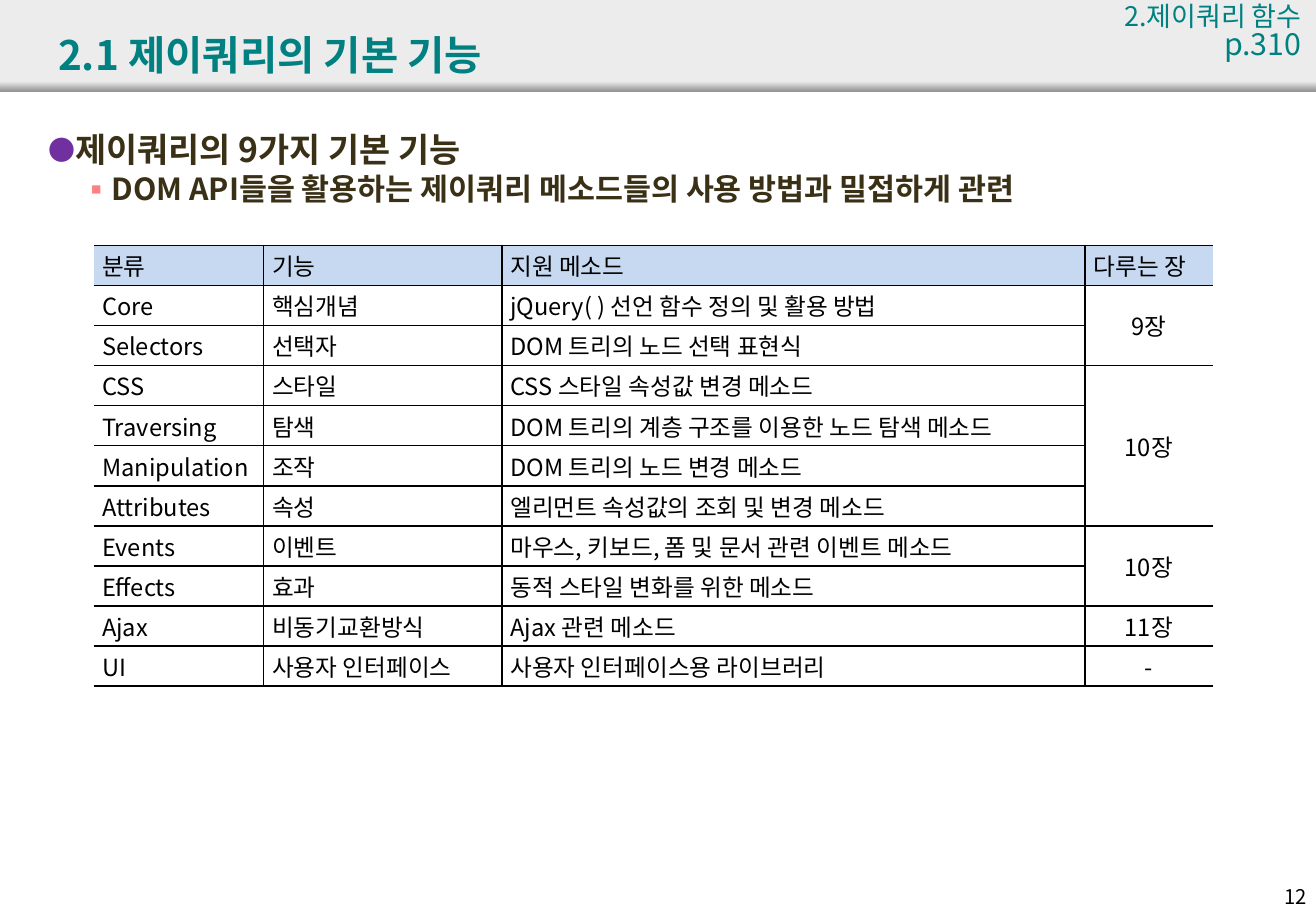
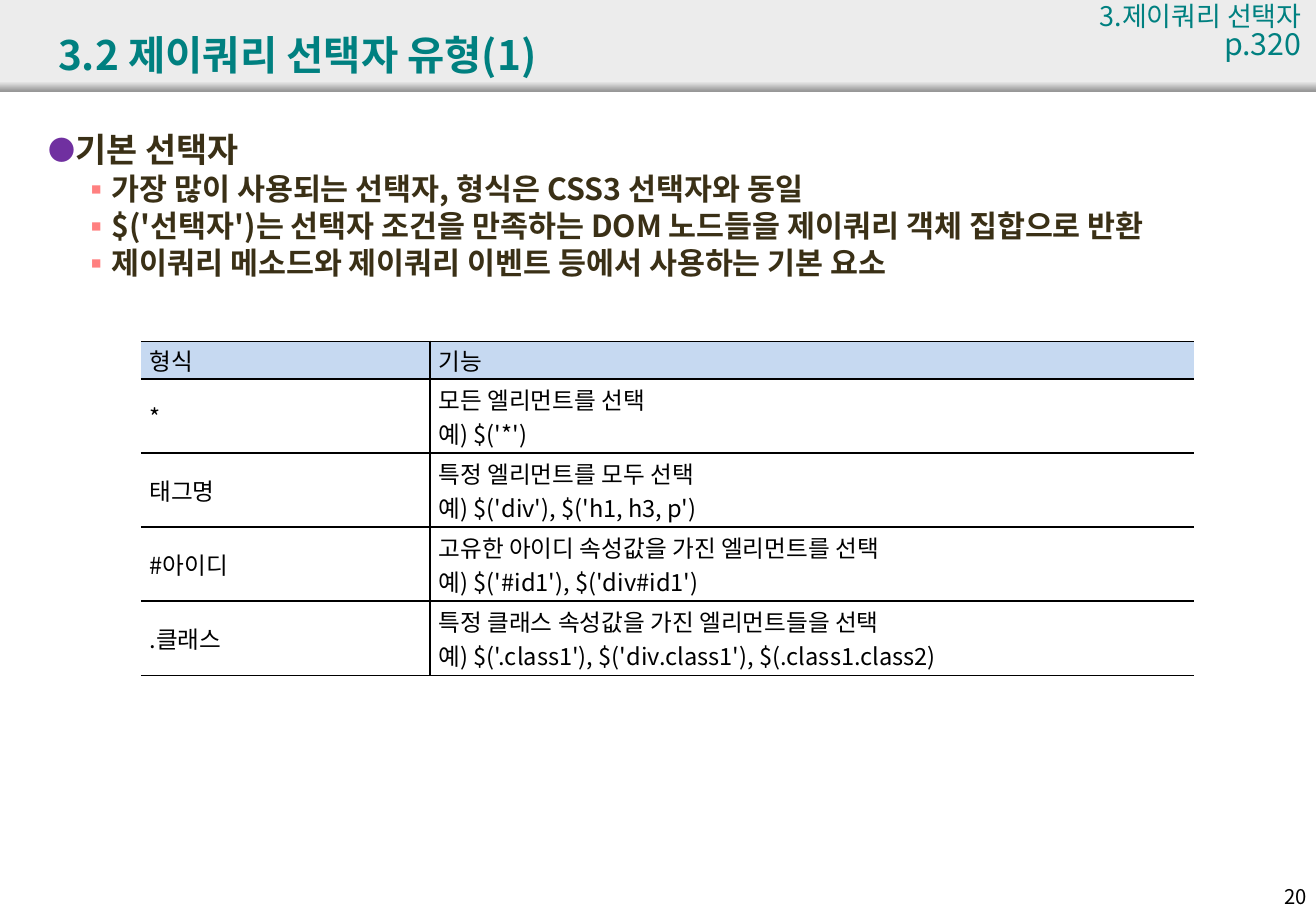
from dataclasses import dataclass

from lxml import etree
from pptx import Presentation
from pptx import util as u
from pptx.dml.color import RGBColor
from pptx.enum import shapes, text
from pptx.oxml import ns

PX = 9144  # EMU, 100 px to the inch
FONT = "Noto Sans CJK KR"
BLACK = RGBColor(0x00, 0x00, 0x00)
TEAL = RGBColor(0x00, 0x80, 0x80)
BROWN = RGBColor(0x3A, 0x30, 0x16)
PURPLE = RGBColor(0x70, 0x30, 0xA0)
CORAL = RGBColor(0xFF, 0x80, 0x80)
BAND = RGBColor(0xEC, 0xEC, 0xEC)
BAND_EDGE = RGBColor(0x97, 0x97, 0x97)
HEADER_BLUE = RGBColor(0xC6, 0xD9, 0xF1)

SLIDE_W, SLIDE_H = 1083, 750
TITLE_BOX = (38, 13, 860, 63)
CHAPTER_BOX = (861, 0, 220, 70)
BODY_BOX = (30, 107, 1032, 622)
NUMBER_BOX = (1030, 723, 55, 30)
ALIGN = text.PP_ALIGN


@dataclass
class Bullet:
    char: str
    color: RGBColor
    percent: int
    margin: int
    size: int


TOPIC = Bullet("●", PURPLE, 80, 20, 20)
DETAIL = Bullet("▪", CORAL, 100, 47, 18)


def px(*lengths):
    return [u.Emu(length * PX) for length in lengths]


def sub(parent, tag, **attributes):
    return etree.SubElement(parent, ns.qn(tag), attributes)


def style(paragraph, size, color=BLACK, bold=False, align=ALIGN.LEFT):
    paragraph.alignment = align
    font = paragraph.font
    font.size, font.bold, font.name = u.Pt(size), bold, FONT
    font.color.rgb = color
    sub(paragraph._p.pPr.find(ns.qn("a:defRPr")), "a:ea", typeface=FONT)


def paragraphs(frame, lines):
    """Put each line in a paragraph of its own and yield these in turn."""
    for i, line in enumerate(lines):
        paragraph = frame.add_paragraph() if i else frame.paragraphs[0]
        paragraph.add_run().text = line
        yield paragraph


def add_frame(slide, box):
    frame = slide.shapes.add_textbox(*px(*box)).text_frame
    frame.word_wrap = True
    return frame


def add_band(slide, box):
    """Grey band with a shaded strip along its lower edge."""
    left, top, width, height = box
    strip_height = 8
    strip_top = top + height - strip_height
    for part in (box, (left, strip_top, width, strip_height)):
        band = slide.shapes.add_shape(shapes.MSO_SHAPE.RECTANGLE, *px(*part))
        band.shadow.inherit = False
        band.line.fill.background()
        band.fill.solid()
        band.fill.fore_color.rgb = BAND
    band.fill.gradient()
    band.fill.gradient_angle = 270
    for stop, color, position in zip(band.fill.gradient_stops,
                                     (BAND, BAND_EDGE), (0, 1)):
        stop.color.rgb, stop.position = color, position


def add_base(prs, title, chapter, page, number):
    """New slide with band, title, chapter reference and slide number."""
    slide = prs.slides.add_slide(prs.slide_layouts[6])
    add_band(slide, (0, 0, SLIDE_W, 75))
    heading = add_frame(slide, TITLE_BOX)
    heading.vertical_anchor = text.MSO_ANCHOR.MIDDLE
    for line in paragraphs(heading, [title]):
        style(line, 24, TEAL, bold=True)
    reference = paragraphs(add_frame(slide, CHAPTER_BOX), [chapter, page])
    for line, size in zip(reference, (16, 18)):
        line.line_spacing = 0.8
        style(line, size, TEAL, align=ALIGN.RIGHT)
    for line in paragraphs(add_frame(slide, NUMBER_BOX), [number]):
        style(line, 12, align=ALIGN.RIGHT)
    return slide


def add_bullets(slide, box, topic, details):
    lines = paragraphs(add_frame(slide, box), [topic, *details])
    for i, line in enumerate(lines):
        bullet = DETAIL if i else TOPIC
        line.line_spacing = 0.83
        line.space_before = u.Pt(4 if i else 0)
        props = line._p.get_or_add_pPr()
        props.set("marL", str(bullet.margin * PX))
        props.set("indent", str(-20 * PX))
        sub(sub(props, "a:buClr"), "a:srgbClr", val=str(bullet.color))
        sub(props, "a:buSzPct", val=str(bullet.percent * 1000))
        sub(props, "a:buFont", typeface=FONT)
        sub(props, "a:buChar", char=bullet.char)
        style(line, bullet.size, BROWN, bold=True)


def set_borders(cell, sides):
    """Draw the sides named (of L, R, T, B) and clear the others."""
    props = cell._tc.get_or_add_tcPr()
    for side in "LRTB":
        border = sub(props, f"a:ln{side}", w=str(u.Pt(1)))
        if side in sides:
            sub(sub(border, "a:solidFill"), "a:srgbClr", val=str(BLACK))
        else:
            sub(border, "a:noFill")


def add_grid(slide, origin, widths, heights, rows, merges=(), centred=None):
    """Table open at left and right; merges are (first row, last row, column)."""
    grid = slide.shapes.add_table(
        len(rows), len(widths), *px(*origin, sum(widths), sum(heights))).table
    grid.horz_banding = grid.first_row = False
    for column, width in zip(grid.columns, px(*widths)):
        column.width = width
    for row, height in zip(grid.rows, px(*heights)):
        row.height = height
    last = len(widths) - 1
    for r, values in enumerate(rows):
        for c, value in enumerate(values):
            cell = grid.cell(r, c)
            cell.margin_left, cell.margin_right = px(7, 7)
            cell.margin_top = cell.margin_bottom = 0
            cell.vertical_anchor = text.MSO_ANCHOR.MIDDLE
            set_borders(cell, "TB" + "L" * (c > 0) + "R" * (c < last))
            if r == 0:
                cell.fill.solid()
                cell.fill.fore_color.rgb = HEADER_BLUE
            else:
                cell.fill.background()
            align = ALIGN.CENTER if r and c == centred else ALIGN.JUSTIFY
            if value:
                for line in paragraphs(cell.text_frame, value.split("\n")):
                    style(line, 14, align=align)
    for first, end, c in merges:
        grid.cell(first, c).merge(grid.cell(end, c))


def functions_slide(prs):
    slide = add_base(prs, "2.1 제이쿼리의 기본 기능", "2.제이쿼리 함수", "p.310", "12")
    add_bullets(slide, BODY_BOX, "제이쿼리의 9가지 기본 기능", [
        "DOM API들을 활용하는 제이쿼리 메소드들의 사용 방법과 밀접하게 관련"])
    rows = [
        ("분류", "기능", "지원 메소드", "다루는 장"),
        ("Core", "핵심개념", "jQuery( ) 선언 함수 정의 및 활용 방법", "9장"),
        ("Selectors", "선택자", "DOM 트리의 노드 선택 표현식", ""),
        ("CSS", "스타일", "CSS 스타일 속성값 변경 메소드", "10장"),
        ("Traversing", "탐색", "DOM 트리의 계층 구조를 이용한 노드 탐색 메소드", ""),
        ("Manipulation", "조작", "DOM 트리의 노드 변경 메소드", ""),
        ("Attributes", "속성", "엘리먼트 속성값의 조회 및 변경 메소드", ""),
        ("Events", "이벤트", "마우스, 키보드, 폼 및 문서 관련 이벤트 메소드", "10장"),
        ("Effects", "효과", "동적 스타일 변화를 위한 메소드", ""),
        ("Ajax", "비동기교환방식", "Ajax 관련 메소드", "11장"),
        ("UI", "사용자 인터페이스", "사용자 인터페이스용 라이브러리", "-"),
    ]
    add_grid(slide, (77, 202), (140, 196, 480, 105), [33] * len(rows), rows,
             merges=[(1, 2, 3), (3, 6, 3), (7, 8, 3)], centred=3)


def selectors_slide(prs):
    slide = add_base(prs, "3.2 제이쿼리 선택자 유형(1)", "3.제이쿼리 선택자", "p.320", "20")
    add_bullets(slide, BODY_BOX, "기본 선택자", [
        "가장 많이 사용되는 선택자, 형식은 CSS3 선택자와 동일",
        "$('선택자')는 선택자 조건을 만족하는 DOM 노드들을 제이쿼리 객체 집합으로 반환",
        "제이쿼리 메소드와 제이쿼리 이벤트 등에서 사용하는 기본 요소"])
    rows = [
        ("형식", "기능"),
        ("*", "모든 엘리먼트를 선택\n예) $('*')"),
        ("태그명", "특정 엘리먼트를 모두 선택\n예) $('div'), $('h1, h3, p')"),
        ("#아이디", "고유한 아이디 속성값을 가진 엘리먼트를 선택\n"
                 "예) $('#id1'), $('div#id1')"),
        (".클래스", "특정 클래스 속성값을 가진 엘리먼트들을 선택\n"
                 "예) $('.class1'), $('div.class1'), $(.class1.class2)"),
    ]
    add_grid(slide, (116, 281), (238, 629), [31] + [61] * 4, rows)


def main():
    prs = Presentation()
    prs.slide_width, prs.slide_height = px(SLIDE_W, SLIDE_H)
    functions_slide(prs)
    selectors_slide(prs)
    prs.save("out.pptx")


if __name__ == "__main__":
    main()
